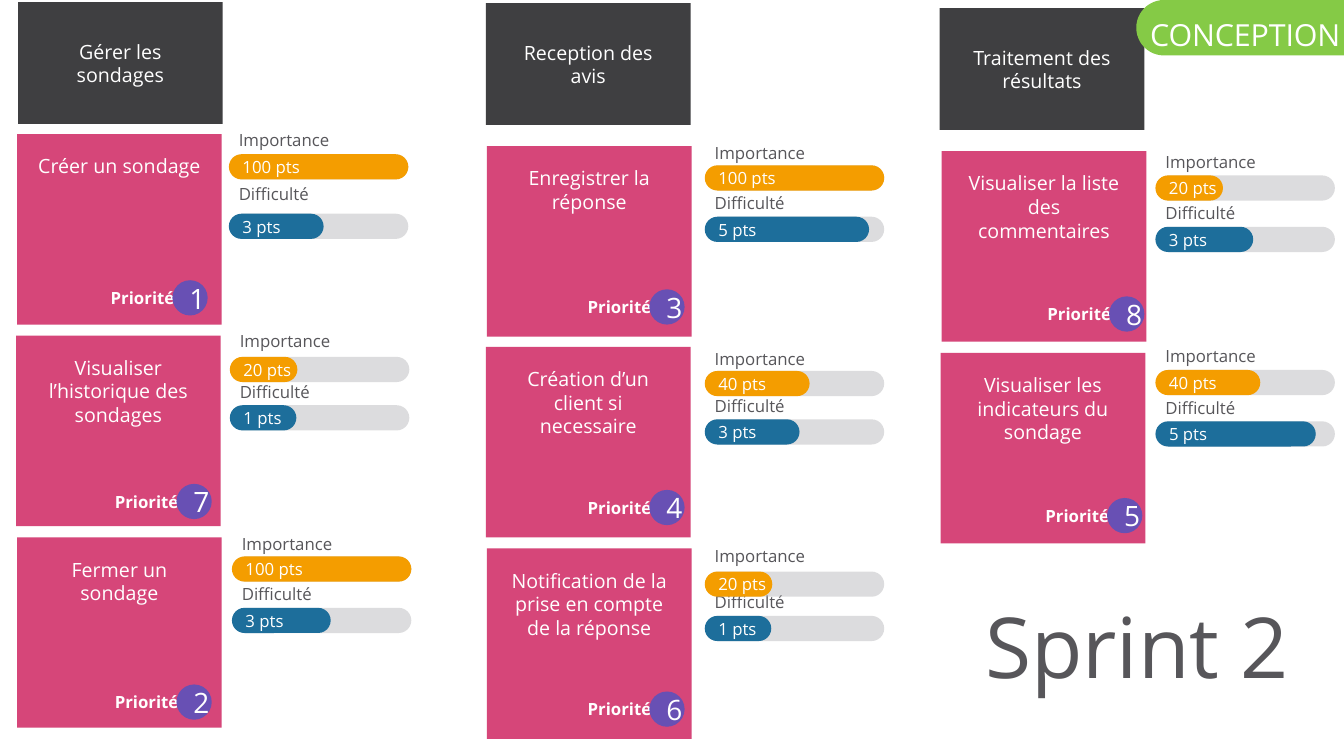
from pptx import Presentation
from pptx.dml.color import RGBColor
from pptx.enum.shapes import MSO_SHAPE
from pptx.enum.text import MSO_ANCHOR, MSO_AUTO_SIZE, PP_ALIGN
from pptx.oxml.ns import qn
from pptx.util import Inches, Pt
from lxml.etree import SubElement

FONT = "Open Sans"
WHITE, GREY = "FFFFFF", "57565A"
CARD_WIDTH, CARD_HEIGHT = 2.03, 1.89
BAR_HEIGHT, TRACK_WIDTH = 0.25, 1.77
BADGE_SIZE = 0.35

THEMES = [
    (0.18, 0.02, "Gérer les sondages"),
    (4.82, 0.03, "Reception des avis"),
    (9.32, 0.08, "Traitement des résultats"),
]

# Each story: card corner, title, priority, badge corner, meters' left edge,
# then importance and difficulty as label top, bar top, points and bar width.
STORIES = [
    (0.17, 1.33, "Créer un sondage", 1, 1.71, 2.78, 2.27,
     (1.25, 1.53, 100, 1.78), (1.79, 2.12, 3, 0.94)),
    (0.16, 3.33, "Visualiser l’historique des sondages", 7, 1.75, 4.8, 2.28,
     (3.25, 3.54, 20, 0.67), (3.75, 4.02, 1, 0.66)),
    (0.17, 5.33, "Fermer un sondage", 2, 1.75, 6.79, 2.3,
     (5.26, 5.52, 100, 1.78), (5.76, 6.03, 3, 0.98)),
    (4.83, 1.45, "Enregistrer la réponse", 3, 6.44, 2.87, 6.99,
     (1.38, 1.64, 100, 1.78), (1.88, 2.15, 5, 1.63)),
    (4.82, 3.44, "Création d’un client si necessaire", 4, 6.44, 4.86, 6.99,
     (3.42, 3.68, 40, 1.04), (3.89, 4.16, 3, 0.94)),
    (4.83, 5.44, "Notification de la prise en compte de la réponse", 6, 6.44, 6.86, 6.99,
     (5.38, 5.67, 20, 0.67), (5.84, 6.11, 1, 0.66)),
    (9.34, 1.5, "Visualiser la liste des commentaires", 8, 11, 2.94, 11.46,
     (1.47, 1.74, 20, 0.67), (1.98, 2.25, 3, 0.97)),
    (9.33, 3.5, "Visualiser les indicateurs du sondage", 5, 10.98, 4.94, 11.46,
     (3.4, 3.67, 40, 1.04), (3.91, 4.18, 5, 1.59)),
]


def paint(color_format, color):
    """Set a colour from a hex string."""
    color_format.rgb = RGBColor.from_string(color)


def add_block(slide, kind, box, color, opacity=100):
    """Add a borderless filled shape in the given box."""
    block = slide.shapes.add_shape(kind, *map(Inches, box))
    block.shadow.inherit = False
    block.line.fill.background()
    block.fill.solid()
    paint(block.fill.fore_color, color)
    if kind == MSO_SHAPE.ROUNDED_RECTANGLE:
        block.adjustments[0] = 0.5
    if opacity < 100:
        tint = block.fill._xPr.find(".//" + qn("a:srgbClr"))
        SubElement(tint, qn("a:alpha")).set("val", str(opacity * 1000))
    return block


def write(holder, words, size, color=WHITE, align=PP_ALIGN.LEFT, anchor=MSO_ANCHOR.TOP,
          insets=(0.1, 0.05), wrap=True, bold=False):
    """Write one run of text into a shape and return its run."""
    frame = holder.text_frame
    frame.auto_size = MSO_AUTO_SIZE.NONE
    frame.word_wrap = wrap
    frame.vertical_anchor = anchor
    frame.margin_left = frame.margin_right = Inches(insets[0])
    frame.margin_top = frame.margin_bottom = Inches(insets[1])
    paragraph = frame.paragraphs[0]
    paragraph.alignment = align
    run = paragraph.add_run()
    run.text = words
    run.font.name = FONT
    run.font.size = Pt(size)
    run.font.bold = bold
    paint(run.font.color, color)
    return run


def add_label(slide, left, top, words, color=GREY, bold=False):
    """Add a small one-line label."""
    label = slide.shapes.add_textbox(*map(Inches, (left, top, 0.67, 0.25)))
    write(label, words, 12, color, wrap=False, bold=bold)
    label.text_frame.paragraphs[0].line_spacing = 0.95


def add_theme(slide, left, top, words):
    """Add the dark heading of a column."""
    heading = add_block(slide, MSO_SHAPE.RECTANGLE, (left, top, CARD_WIDTH, 1.21), "2B2B2D", 90)
    write(heading, words, 14, align=PP_ALIGN.CENTER, anchor=MSO_ANCHOR.MIDDLE, insets=(0.2, 0.2))


def add_meter(slide, left, words, color, label_top, bar_top, points, width):
    """Add a labelled score bar over its grey track."""
    pill = MSO_SHAPE.ROUNDED_RECTANGLE
    add_block(slide, pill, (left + 0.01, bar_top, TRACK_WIDTH, BAR_HEIGHT), "BBBBBE", 50)
    add_label(slide, left, label_top, words)
    score = add_block(slide, pill, (left, bar_top, width, BAR_HEIGHT), color)
    write(score, f"{points} pts", 12, anchor=MSO_ANCHOR.MIDDLE, insets=(0.1, 0.13), wrap=False)


def add_story(slide, left, top, words, priority, badge_left, badge_top, meter_left,
              importance, difficulty):
    """Add a story card with its priority badge and two meters."""
    card = add_block(slide, MSO_SHAPE.RECTANGLE, (left, top, CARD_WIDTH, CARD_HEIGHT), "D2326B", 90)
    write(card, words, 14, align=PP_ALIGN.CENTER, insets=(0.2, 0.2))
    add_label(slide, badge_left - 0.71, badge_top + 0.04, "Priorité", WHITE, True)
    badge = add_block(slide, MSO_SHAPE.OVAL, (badge_left, badge_top, BADGE_SIZE, BADGE_SIZE), "6850B4")
    write(badge, str(priority), 20, align=PP_ALIGN.CENTER, anchor=MSO_ANCHOR.MIDDLE,
          insets=(0.13, 0.07))
    add_meter(slide, meter_left, "Difficulté", "1D6E9B", *difficulty)
    add_meter(slide, meter_left, "Importance", "F49D00", *importance)


def add_sprint_title(slide, left, top, width, height):
    """Place the sprint name in the title placeholder."""
    title = slide.shapes.title
    title.left, title.top, title.width, title.height = map(Inches, (left, top, width, height))
    write(title, "Sprint 2", 60, GREY)


def add_phase_tag(slide, left, top, width, height):
    """Add the green phase tag running off the right edge."""
    add_block(slide, MSO_SHAPE.ROUNDED_RECTANGLE, (left, top, width, height), "85CA46")
    phase = slide.shapes.add_textbox(*map(Inches, (left + 0.04, top + 0.11, 2.16, height)))
    run = write(phase, "CONCEPTION", 21.7)
    run.font._element.set("spc", "-10")


def main():
    """Build the sprint backlog slide."""
    deck = Presentation()
    deck.slide_width, deck.slide_height = Inches(13.33), Inches(7.5)
    slide = deck.slides.add_slide(deck.slide_layouts[5])
    for theme in THEMES:
        add_theme(slide, *theme)
    for story in STORIES:
        add_story(slide, *story)
    add_sprint_title(slide, 9.67, 5.85, 3.86, 1.11)
    add_phase_tag(slide, 11.27, 0, 2.63, 0.55)
    deck.save("out.pptx")


if __name__ == "__main__":
    main()
